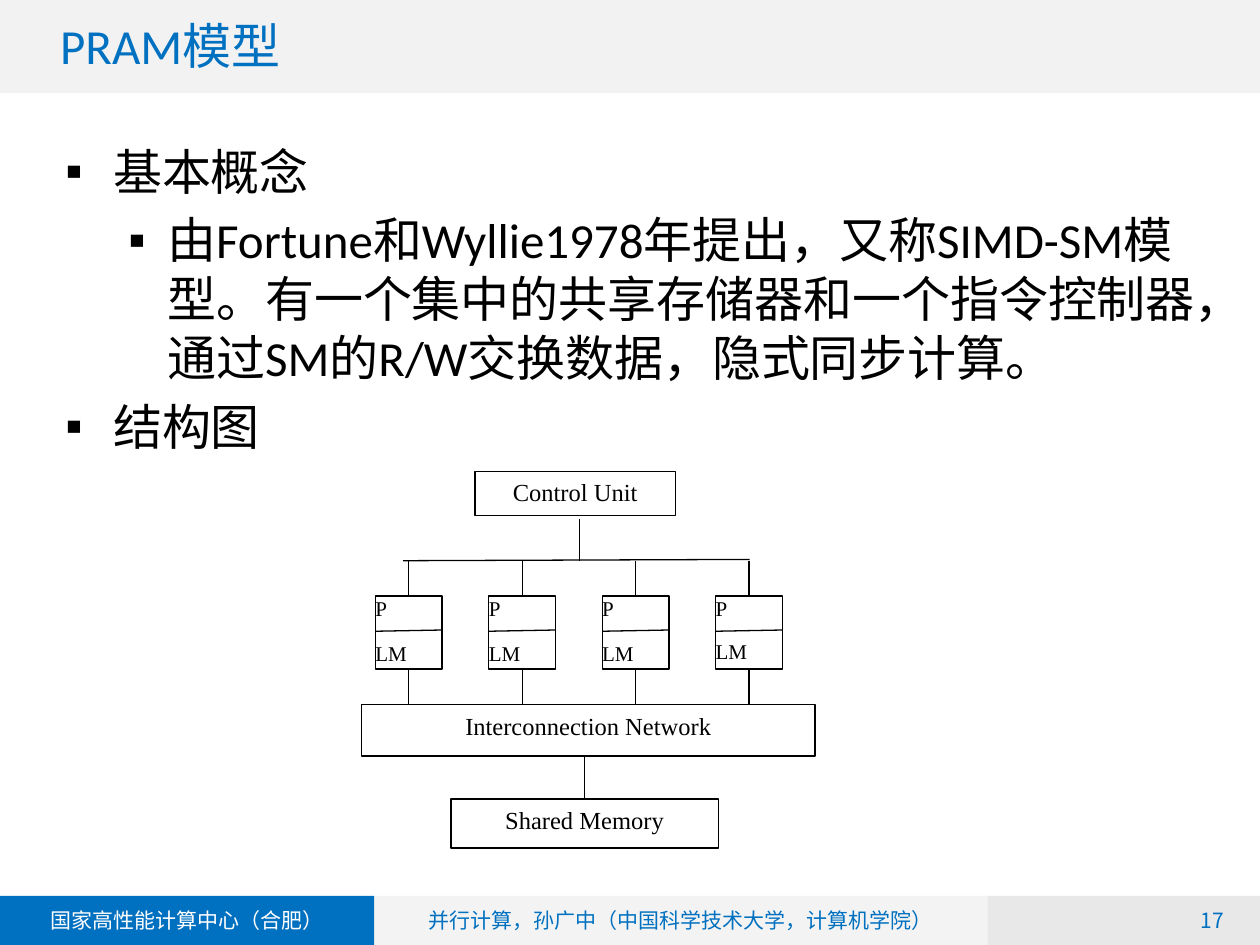
import pptx
import pptx.util
import pptx.dml.color
import pptx.enum.shapes
import pptx.enum.text
import pptx.oxml.ns
import lxml.etree

Inches, Pt = pptx.util.Inches, pptx.util.Pt
ALIGN = pptx.enum.text.PP_ALIGN
ANCHOR = pptx.enum.text.MSO_ANCHOR
RECT = pptx.enum.shapes.MSO_SHAPE.RECTANGLE
qn = pptx.oxml.ns.qn

W, H = 10, 7.5
COLORS = {"blue": "0070C0", "white": "FFFFFF", "black": "000000",
          "header": "F2F2F2", "middle": "BFBFBF", "right": "808080"}
CJK, LATIN, SERIF = "Noto Sans CJK SC", "Calibri", "Times New Roman"
TOP, BOTTOM, LEFT = 0, 2, 1  # connection sites of a rectangle


def rgb(name):
    return pptx.dml.color.RGBColor.from_string(COLORS[name])


def sub(parent, tag, **attrs):
    return lxml.etree.SubElement(parent, qn(tag), attrs)


def place(sp, box):
    for name, value in zip(("left", "top", "width", "height"), box):
        setattr(sp, name, Inches(value))


def write(p, text, size, font, color="black", **fmt):
    """Put one run in a paragraph; fmt holds paragraph attributes."""
    for name, value in fmt.items():
        setattr(p, name, value)
    r = p.add_run()
    r.text = text
    for name, value in {"size": Pt(size), "name": font}.items():
        setattr(r.font, name, value)
    r.font.color.rgb = rgb(color)
    sub(r._r.get_or_add_rPr(), "a:ea", typeface=font)


def add_rect(s, box, fill, alpha=None, outlined=False):
    sp = s.shapes.add_shape(RECT, *map(Inches, box))
    sp.shadow.inherit = False
    sp.fill.solid()
    sp.fill.fore_color.rgb = rgb(fill)
    if alpha:
        clr = sp._element.spPr.find(".//" + qn("a:srgbClr"))
        sub(clr, "a:alpha", val=str(alpha * 1000))
    if outlined:
        sp.line.color.rgb = rgb("black")
        sp.line.width = Pt(0.75)
    else:
        sp.line.fill.background()
    return sp


def add_line(s, x1, y1, x2, y2, begin=None, end=None):
    """begin and end are (shape, connection site) pairs."""
    c = s.shapes.add_connector(pptx.enum.shapes.MSO_CONNECTOR.STRAIGHT,
                               *map(Inches, (x1, y1, x2, y2)))
    c.line.color.rgb = rgb("black")
    c.line.width = Pt(0.75)
    sub(c._element.spPr, "a:effectLst")
    if begin:
        c.begin_connect(*begin)
    if end:
        c.end_connect(*end)


def header(s, box):
    x, y, w, h = box
    add_rect(s, box, "header")
    title = s.shapes.title
    s.shapes._spTree.append(title._element)  # in front of the band
    place(title, (x + 0.29, y + 0.11, 0.862 * w, 0.56))
    tf = title.text_frame
    tf.vertical_anchor = ANCHOR.MIDDLE
    write(tf.paragraphs[0], " PRAM模型", 28, LATIN, "blue",
          alignment=ALIGN.LEFT, line_spacing=0.9)


def footer(s, box):
    x, y, w, h = box
    segments = [
        (0.297, "blue", None, "国家高性能计算中心（合肥）", "white"),
        (0.487, "middle", 18, "并行计算，孙广中（中国科学技术大学，计算机学院）", "blue"),
        (0.216, "right", 18, None, None)]
    for share, fill, alpha, text, color in segments:
        sp = add_rect(s, (x, y, share * w, h), fill, alpha)
        if text:
            write(sp.text_frame.paragraphs[0], text, 12, CJK, color,
                  alignment=ALIGN.CENTER)
        x += share * w
    # Page number
    tf = s.shapes.add_textbox(*map(Inches, (x - 1.11, y, 0.96, h))).text_frame
    tf.word_wrap = True
    tf.vertical_anchor = ANCHOR.MIDDLE
    write(tf.paragraphs[0], "17 ", 12, CJK, "blue", alignment=ALIGN.RIGHT)


def bullets(s, box):
    tf = s.shapes.add_textbox(*map(Inches, box)).text_frame
    tf.word_wrap = True
    items = [
        (0, "基本概念"),
        (1, "由Fortune和Wyllie1978年提出，又称SIMD-SM模型。有一个集中的共享存储器"
            "和一个指令控制器，通过SM的R/W交换数据，隐式同步计算。"),
        (0, "结构图")]
    indents = [(0.38, -0.38), (0.81, -0.31)]
    for i, (level, text) in enumerate(items):
        p = tf.add_paragraph() if i else tf.paragraphs[0]
        write(p, text, 28, LATIN, level=level, space_before=Pt(5.6))
        pPr = p._p.get_or_add_pPr()
        for name, value in zip(("marL", "indent"), indents[level]):
            pPr.set(name, str(Inches(value)))
        sub(pPr, "a:buFont", typeface="Arial")
        sub(pPr, "a:buChar", char="▪")


def unit(s, box, text):
    sp = add_rect(s, box, "white", outlined=True)
    sp.text_frame.vertical_anchor = ANCHOR.TOP
    write(sp.text_frame.paragraphs[0], text, 14, SERIF, alignment=ALIGN.CENTER)
    return sp


def processor(s, box, bus_y, network_y, gap):
    """Processor over its local memory, wired to the bus and the network."""
    x, y, w, h = box
    sp = add_rect(s, box, "white", outlined=True)
    tf = sp.text_frame
    tf.vertical_anchor = ANCHOR.TOP
    for side in ("left", "top", "right", "bottom"):
        setattr(tf, "margin_" + side, 0)
    write(tf.paragraphs[0], "P", 12, SERIF, alignment=ALIGN.LEFT)
    write(tf.add_paragraph(), "LM", 12, SERIF, alignment=ALIGN.LEFT,
          space_before=Pt(gap))
    mid = x + w / 2
    add_line(s, x, y + 0.28, x + w, y + 0.27)
    add_line(s, mid, bus_y, mid, y, end=(sp, TOP))
    add_line(s, mid, y + h, mid, network_y, begin=(sp, BOTTOM))


def diagram(s, box):
    x, y, w, h = box
    bus_y, network_y = y + 0.71, y + 1.85
    unit(s, (x + 0.9, y, 1.59, 0.35), "Control Unit")
    unit(s, (x, network_y, w, 0.41), "Interconnection Network")
    memory = unit(s, (x + 0.71, y + h - 0.39, 2.12, 0.39), "Shared Memory")
    for i, gap in enumerate((11.3, 11.3, 11.3, 9.8)):
        processor(s, (x + 0.11 + 0.9 * i, y + 0.99, 0.53, 0.58),
                  bus_y, network_y, gap)
    # Bus, its feed and the link to shared memory
    add_line(s, x + 0.33, bus_y, x + 3.08, bus_y - 0.01)
    add_line(s, x + 1.73, y + 0.38, x + 1.73, bus_y)
    add_line(s, x + 1.77, network_y + 0.41, x + 1.77, y + h - 0.39,
             end=(memory, TOP))


def main():
    prs = pptx.Presentation()
    prs.slide_width, prs.slide_height = Inches(W), Inches(H)
    s = prs.slides.add_slide(prs.slide_layouts[5])
    header(s, (0, 0, W, 0.74))
    footer(s, (0, H - 0.39, W, 0.39))
    bullets(s, (0.42, 1.07, 9.17, 5.52))
    diagram(s, (2.87, 3.74, 3.6, 2.99))
    prs.save("out.pptx")


if __name__ == "__main__":
    main()
